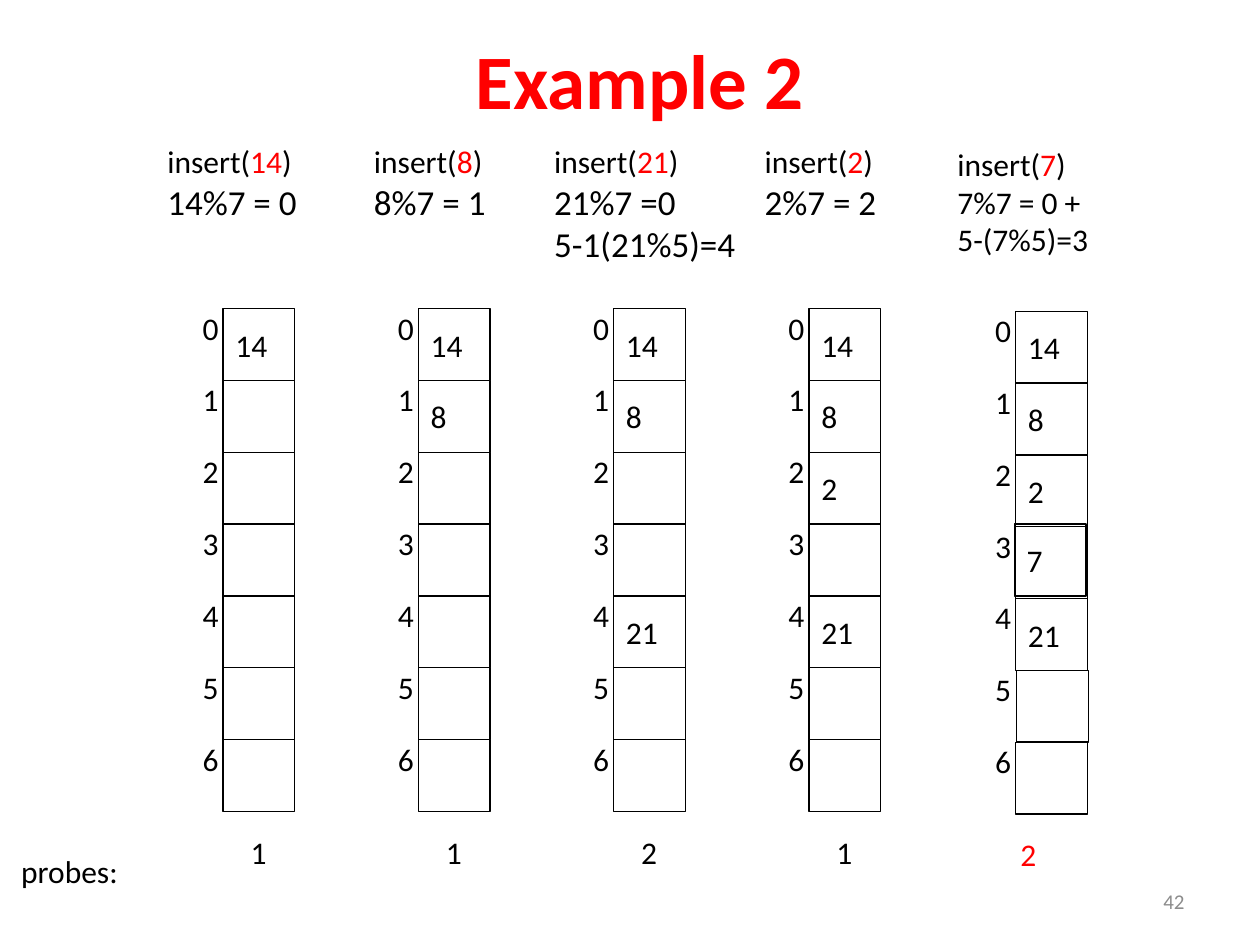
import pptx
import pptx.dml.color
import pptx.enum.shapes
import pptx.enum.text
import pptx.util

COLORS = {"ink": "000000", "accent": "FF0000", "muted": "8C8C8C"}
ANCHOR = pptx.enum.text.MSO_ANCHOR
ALIGN = pptx.enum.text.PP_ALIGN
AUTO_SIZE = pptx.enum.text.MSO_AUTO_SIZE

# Table grid, in percent of the slide's width (columns) and height (rows)
FIRST_COLUMN, COLUMN_STEP = 17.7, 15.5
FIRST_ROW, ROW_STEP = 32.67, 7.6
CELL_WIDTH = 5.7
SLOTS = 7


class Deck:
    """Style and current slide; all lengths are percent of the slide's size."""

    font = "Calibri"
    size = 18
    line_width = 0.75

    def __init__(self, width, height):
        self.file = pptx.Presentation()
        self.file.slide_width = pptx.util.Inches(width)
        self.file.slide_height = pptx.util.Inches(height)
        self.page = self.file.slides.add_slide(self.file.slide_layouts[6])

    def area(self, left, top, width, height):
        across, down = self.file.slide_width, self.file.slide_height
        return [round(share * full / 100) for share, full in
                ((left, across), (top, down), (width, across), (height, down))]

    def color(self, name):
        return pptx.dml.color.RGBColor.from_string(COLORS[name])

    def style(self, span, color="ink", size=None, bold=False):
        span.font.name = self.font
        span.font.size = pptx.util.Pt(size or self.size)
        span.font.bold = bold
        span.font.color.rgb = self.color(color)

    def text(self, place, words, color="ink", size=None, bold=False,
             align=ALIGN.LEFT, anchor=ANCHOR.TOP, wrap=False):
        box = self.page.shapes.add_textbox(*self.area(*place))
        frame = box.text_frame
        frame.text = words
        frame.word_wrap = wrap
        frame.auto_size = AUTO_SIZE.NONE if wrap else AUTO_SIZE.SHAPE_TO_FIT_TEXT
        frame.vertical_anchor = anchor
        for para in frame.paragraphs:
            para.alignment = align
            for span in para.runs:
                self.style(span, color, size, bold)
        return frame

    def call(self, place, key, steps, step_size, wrap):
        """An insert call with its key in red, then the hash steps."""
        frame = self.text(place, "\n".join(["insert("] + steps), size=step_size, wrap=wrap)
        head = frame.paragraphs[0]
        self.style(head.runs[0])
        for words, color in ((key, "accent"), (")", "ink")):
            span = head.add_run()
            span.text = words
            self.style(span, color)

    def cell(self, left, top, value=""):
        box = self.page.shapes.add_shape(
            pptx.enum.shapes.MSO_SHAPE.RECTANGLE,
            *self.area(left, top, CELL_WIDTH, ROW_STEP))
        box.shadow.inherit = False
        box.fill.background()
        box.line.color.rgb = self.color("ink")
        box.line.width = pptx.util.Pt(self.line_width)
        frame = box.text_frame
        frame.text = value
        frame.word_wrap = False
        frame.vertical_anchor = ANCHOR.MIDDLE
        frame.paragraphs[0].alignment = ALIGN.LEFT
        for span in frame.paragraphs[0].runs:
            self.style(span)

    def hash_table(self, left, top, values, nudges):
        """Numbered slots; nudges shifts single slots by (across, down)."""
        for slot in range(SLOTS):
            row = top + slot * ROW_STEP
            across, down = nudges.get(slot, (0, 0))
            self.cell(left + across, row + down, values.get(slot, ""))
            self.text((left - 2.6, row - 0.67, 3.3, 5.4), str(slot))


def main():
    deck = Deck(10, 7.5)

    # Title, row caption and page number
    deck.text((8.3, 0, 85, 16.67), "Example 2", "accent", 44, True,
              ALIGN.CENTER, ANCHOR.MIDDLE, wrap=True)
    deck.text((0.7, 89.47, 11.8, 6.67), "probes:")
    deck.text((71.7, 92.67, 23.3, 5.33), "42", "muted", 12,
              align=ALIGN.RIGHT, anchor=ANCHOR.MIDDLE, wrap=True)

    # Each insertion: call left and width, key, steps, slot filled, probes
    insertions = [
        (12.3, 15, "14", ["14%7 = 0"], 0, "1"),
        (28.7, 13.3, "8", ["8%7 = 1"], 1, "1"),
        (43, 16.5, "21", ["21%7 =0", "5-1(21%5)=4"], 4, "2"),
        (59.7, 13.3, "2", ["2%7 = 2"], 2, "1"),
        (75, 16, "7", ["7%7 = 0 +", "5-(7%5)=3"], 3, "2"),
    ]
    values = {}
    for index, (call_left, call_width, key, steps, slot, probes) in enumerate(insertions):
        last = index == len(insertions) - 1
        left = FIRST_COLUMN + index * COLUMN_STEP + (0.9 if last else 0)
        drop = 0.27 if last else 0
        values[slot] = key
        deck.call((call_left, 14.4 + drop, call_width, 5.6 + 5.4 * len(steps)),
                  key, steps, 18 if last else 20, wrap=last)
        nudges = {3: (-0.1, -0.27), 5: (0.1, 0)} if last else {}
        deck.hash_table(left, FIRST_ROW + drop, values, nudges)
        if last:  # the newly filled slot sits over an empty one
            deck.cell(left, FIRST_ROW + drop + slot * ROW_STEP)
        deck.text((left + (-0.6 if last else 1.2), 87.47 + drop, 3.7, 5.4),
                  probes, "accent" if last else "ink")

    deck.file.save("out.pptx")


if __name__ == "__main__":
    main()
